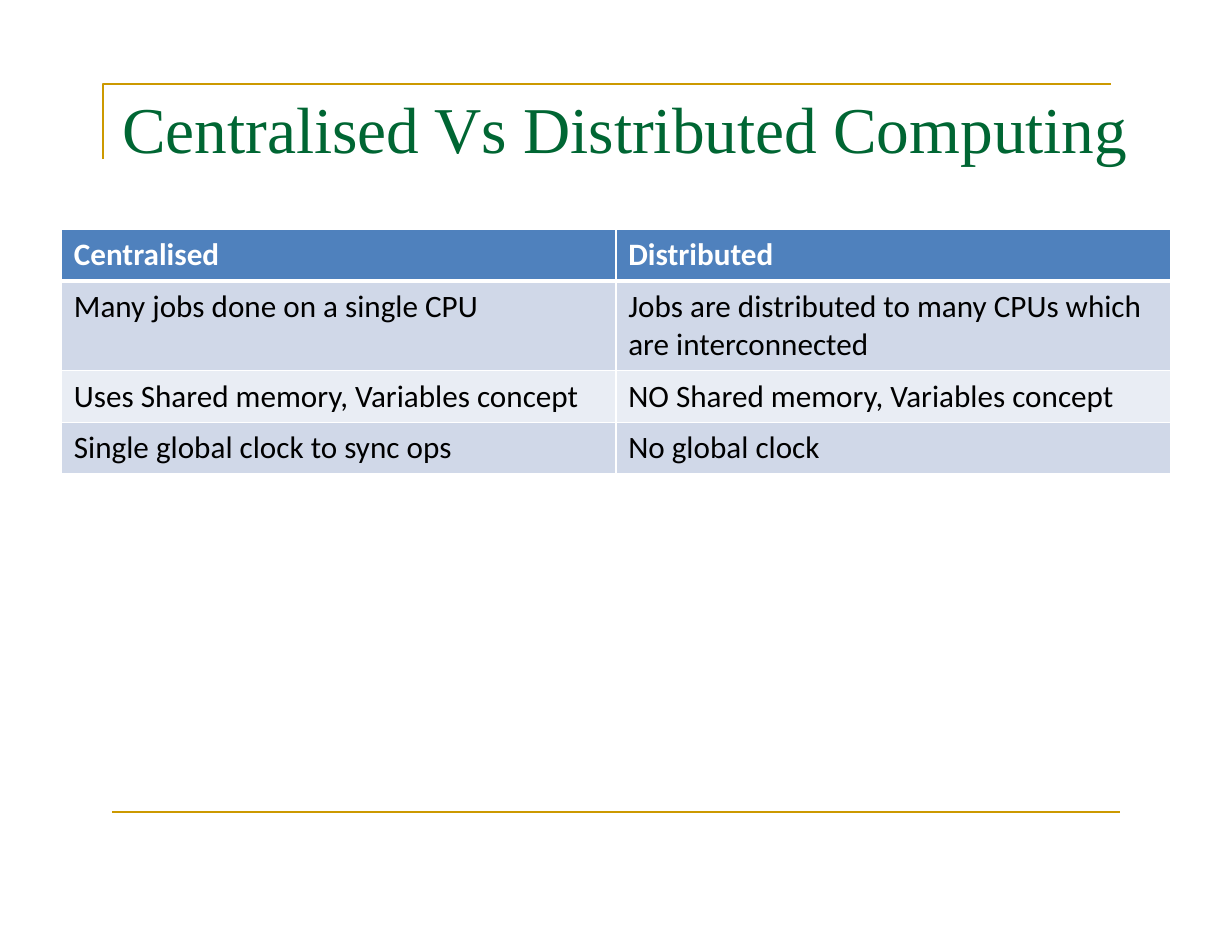
from dataclasses import dataclass

from lxml.etree import SubElement
from pptx import Presentation
from pptx.dml.color import RGBColor
from pptx.enum.shapes import MSO_CONNECTOR
from pptx.enum.text import MSO_ANCHOR, MSO_AUTO_SIZE, PP_ALIGN
from pptx.oxml.ns import qn
from pptx.slide import Slide
from pptx.table import _Cell as Cell
from pptx.text.text import _Paragraph as Paragraph
from pptx.util import Inches, Pt


@dataclass(frozen=True)
class Theme:
    title_font: str = "Times New Roman"
    table_font: str = "Calibri"
    title_size: float = 42
    table_size: float = 20
    rule_width: float = 1.44
    border_width: float = 1
    header_border_width: float = 3
    green: str = "006633"
    gold: str = "CC9900"
    white: str = "FFFFFF"
    black: str = "000000"
    header: str = "4F81BD"
    bands: tuple[str, str] = ("D0D8E8", "E9EDF4")


@dataclass(frozen=True)
class Comparison:
    centralised: str
    distributed: str
    height: float = 0.45


THEME = Theme()
COLUMN_WIDTH = 4.95
COMPARISONS = [
    Comparison("Centralised", "Distributed"),
    Comparison(
        "Many jobs done on a single CPU",
        "Jobs are distributed to many CPUs which are interconnected",
        0.77,
    ),
    Comparison("Uses Shared memory, Variables concept", "NO Shared memory, Variables concept"),
    Comparison("Single global clock to sync ops", "No global clock"),
]


def add_run(para: Paragraph, text: str, font: str, size: float, color: str, bold: bool = False) -> None:
    run = para.add_run()
    run.text = text
    run.font.name = font
    run.font.size = Pt(size)
    run.font.bold = bold
    run.font.color.rgb = RGBColor.from_string(color)


def add_rules(slide: Slide) -> None:
    """Draw the corner rule around the title and the rule at the foot."""
    builder = slide.shapes.build_freeform(Inches(0.92), Inches(1.42))
    builder.add_line_segments(
        [(Inches(0.92), Inches(0.75)), (Inches(9.92), Inches(0.75))], close=False
    )
    corner = builder.convert_to_shape()
    corner.shadow.inherit = False
    corner.fill.background()

    foot = slide.shapes.add_connector(
        MSO_CONNECTOR.STRAIGHT, Inches(1), Inches(7.25), Inches(10), Inches(7.25)
    )
    SubElement(foot._element.spPr, qn("a:effectLst"))

    for rule in (corner, foot):
        rule.line.color.rgb = RGBColor.from_string(THEME.gold)
        rule.line.width = Pt(THEME.rule_width)


def add_title(slide: Slide, text: str) -> None:
    title = slide.shapes.title
    title.left, title.top = Inches(1.09), Inches(0.79)
    title.width, title.height = Inches(9.16), Inches(1.41)
    frame = title.text_frame
    frame.margin_left = frame.margin_right = frame.margin_top = frame.margin_bottom = 0
    frame.word_wrap = True
    frame.auto_size = MSO_AUTO_SIZE.NONE
    frame.vertical_anchor = MSO_ANCHOR.TOP
    para = frame.paragraphs[0]
    para.alignment = PP_ALIGN.LEFT
    add_run(para, text, THEME.title_font, THEME.title_size, THEME.green)


def set_borders(cell: Cell, top: float, bottom: float) -> None:
    """Add white borders; they must come before the cell's fill."""
    properties = cell._tc.get_or_add_tcPr()
    widths = {"lnL": THEME.border_width, "lnR": THEME.border_width, "lnT": top, "lnB": bottom}
    for tag, width in widths.items():
        line = SubElement(properties, qn(f"a:{tag}"), w=str(Pt(width)))
        fill = SubElement(line, qn("a:solidFill"))
        SubElement(fill, qn("a:srgbClr"), val=THEME.white)


def fill_cell(cell: Cell, text: str, row: int) -> None:
    is_header = row == 0
    thin, thick = THEME.border_width, THEME.header_border_width
    set_borders(cell, top=thick if row == 1 else thin, bottom=thick if is_header else thin)
    cell.fill.solid()
    color = THEME.header if is_header else THEME.bands[(row - 1) % 2]
    cell.fill.fore_color.rgb = RGBColor.from_string(color)
    cell.margin_left = cell.margin_right = Inches(0.11)
    cell.margin_top = cell.margin_bottom = Inches(0.06)
    add_run(
        cell.text_frame.paragraphs[0],
        text,
        THEME.table_font,
        THEME.table_size,
        THEME.white if is_header else THEME.black,
        bold=is_header,
    )


def add_comparison_table(slide: Slide, comparisons: list[Comparison]) -> None:
    height = sum(comparison.height for comparison in comparisons)
    table = slide.shapes.add_table(
        len(comparisons), 2, Inches(0.55), Inches(2.05), Inches(2 * COLUMN_WIDTH), Inches(height)
    ).table
    for column in table.columns:
        column.width = Inches(COLUMN_WIDTH)
    for row, comparison in enumerate(comparisons):
        table.rows[row].height = Inches(comparison.height)
        for column, text in enumerate((comparison.centralised, comparison.distributed)):
            fill_cell(table.cell(row, column), text, row)


def main() -> None:
    deck = Presentation()
    deck.slide_width, deck.slide_height = Inches(11), Inches(8.5)
    page = deck.slides.add_slide(deck.slide_layouts[5])
    add_rules(page)
    add_title(page, "Centralised Vs Distributed Computing")
    add_comparison_table(page, COMPARISONS)
    deck.save("out.pptx")


if __name__ == "__main__":
    main()
